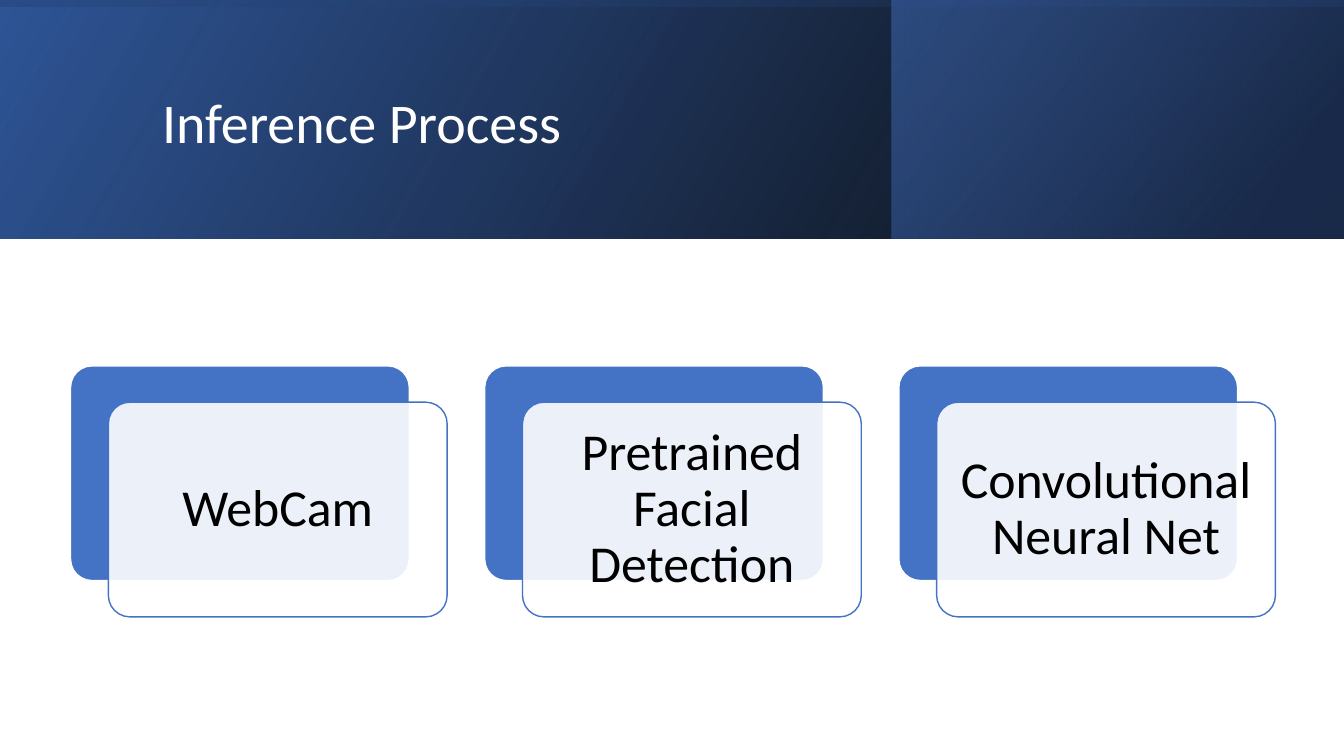
"""Build the Inference Process slide: a gradient banner above three layered step cards."""
import pptx
import pptx.util
import pptx.dml.color
import pptx.enum.shapes
import pptx.enum.text
import pptx.oxml
import pptx.oxml.ns
import lxml.etree

Inches, Pt = pptx.util.Inches, pptx.util.Pt
SHAPES = pptx.enum.shapes.MSO_SHAPE
ALIGN = pptx.enum.text.PP_ALIGN
ANCHOR = pptx.enum.text.MSO_ANCHOR
COLORS = {"white": "FFFFFF", "black": "000000", "blue": "4472C4",
          "deep": "2F5597", "navy": "203864"}
STEPS = ["WebCam", "Pretrained Facial Detection", "Convolutional Neural Net"]


def rgb(name):
    return pptx.dml.color.RGBColor.from_string(COLORS[name])


def set_all(obj, values):
    for name, value in values.items():
        setattr(obj, name, value)


def add_box(slide, kind, box):
    sp = slide.shapes.add_shape(kind, *map(Inches, box))
    sp.shadow.inherit = False
    return sp


def set_alpha(color, percent):
    alpha = lxml.etree.SubElement(color, pptx.oxml.ns.qn("a:alpha"))
    alpha.set("val", str(percent * 1000))


def add_gradient(slide, box, stops, angle, rotation=0):
    sp = add_box(slide, SHAPES.RECTANGLE, box)
    sp.rotation = rotation
    sp.line.fill.background()
    pr = sp._element.spPr
    pr.get_or_add_xfrm().set("flipH", "1")
    gs = "".join(
        f'<a:gs pos="{pos * 1000}"><a:srgbClr val="{COLORS[name]}">'
        f'<a:alpha val="{alpha * 1000}"/></a:srgbClr></a:gs>'
        for pos, name, alpha in stops)
    grad = pptx.oxml.parse_xml(
        f'<a:gradFill {pptx.oxml.ns.nsdecls("a")} rotWithShape="1"><a:gsLst>{gs}</a:gsLst>'
        f'<a:lin ang="{angle * 60000}" scaled="0"/></a:gradFill>')
    pr.find(pptx.oxml.ns.qn("a:prstGeom")).addnext(grad)


def write(sp, text, size, color, align, inset):
    tf = sp.text_frame
    set_all(tf, {"word_wrap": True, "vertical_anchor": ANCHOR.MIDDLE,
                 "margin_left": Inches(inset[0]), "margin_right": Inches(inset[0]),
                 "margin_top": Inches(inset[1]), "margin_bottom": Inches(inset[1])})
    p = tf.paragraphs[0]
    set_all(p, {"alignment": align, "line_spacing": 0.9})
    r = p.add_run()
    r.text = text
    set_all(r.font, {"name": "Calibri", "size": Pt(size)})
    r.font.color.rgb = rgb(color)


def add_banner(slide, box, title):
    x, y, w, h = box
    add_gradient(slide, box, [(0, "black", 96), (100, "deep", 100)], 330)
    add_gradient(slide, (x + 8.84, y, w - 8.84, h),
                 [(19, "navy", 68), (100, "blue", 48)], 320)
    add_gradient(slide, (x + (w - h) / 2, y + (h - w) / 2, h, w),
                 [(23, "deep", 16), (99, "black", 45)], 350, 270)
    sp = slide.shapes.add_textbox(*map(Inches, (x + 1.51, y + 0.38, 10.63, 1.72)))
    write(sp, title, 40, "white", ALIGN.LEFT, (0.1, 0.05))


def add_card(slide, box, fill, line):
    sp = add_box(slide, SHAPES.ROUNDED_RECTANGLE, box)
    sp.adjustments[0] = 0.1
    sp.fill.solid()
    sp.fill.fore_color.rgb = rgb(fill)
    sp.line.color.rgb = rgb(line)
    sp.line.width = Pt(1)
    return sp


def add_steps(slide, box, steps):
    x, y, w, h = box
    card_w, card_h, shift_x, shift_y = 3.36, 2.13, 0.375, 0.36
    pitch = (w - card_w - shift_x) / (len(steps) - 1)
    top = y + (h - card_h - shift_y) / 2
    for i, text in enumerate(steps):
        left = x + i * pitch
        add_card(slide, (left, top, card_w, card_h), "blue", "white")
        sp = add_card(slide, (left + shift_x, top + shift_y, card_w, card_h), "white", "blue")
        set_alpha(sp._element.spPr.find(".//" + pptx.oxml.ns.qn("a:srgbClr")), 90)
        write(sp, text, 37, "black", ALIGN.CENTER, (0.15, 0.15))


def main():
    prs = pptx.Presentation()
    set_all(prs, {"slide_width": Inches(13.33), "slide_height": Inches(7.5)})
    slide = prs.slides.add_slide(prs.slide_layouts[6])
    add_banner(slide, (0, 0, 13.33, 2.37), "Inference\u00a0Process")
    add_steps(slide, (0.7, 3.63, 11.95, 2.49), STEPS)
    prs.save("out.pptx")


main()
